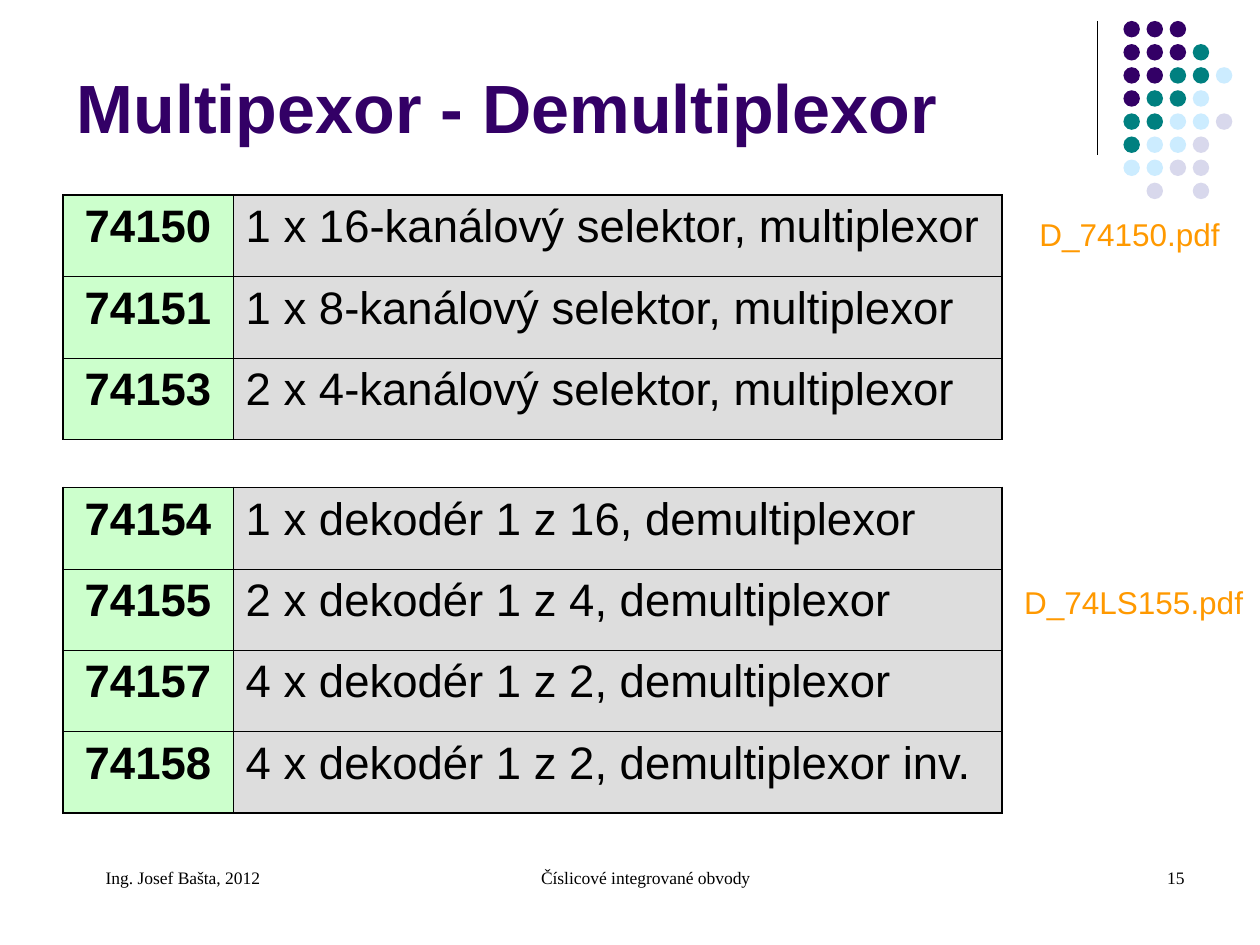
from dataclasses import dataclass

from lxml import etree
from pptx import Presentation
from pptx.dml.color import RGBColor
from pptx.enum import shapes, text
from pptx.oxml.ns import qn
from pptx.util import Pt

BLACK, PURPLE, ORANGE = "000000", "330066", "FF9900"
CODE_FILL, NOTE_FILL = "CCFFCC", "DDDDDD"
OUTER, INNER = 1.08, 0.45
ROW_HEIGHT = 46.5
COLUMN_WIDTHS = (97.2, 439.2)
DOT_COLOURS = {"P": PURPLE, "T": "008080", "L": "CCECFF", "G": "D8D8EC"}
DOT_ROWS = ("PPP", "PPPT", "PPTTL", "PTTL", "TTLLG", "TLLG", "LLGG", " G G")
DOT_LEFT, DOT_TOP, DOT_PITCH, DOT_SIZE = 642, 12, 13.2, 9.4


@dataclass
class Style:
    size: float
    font: str = "Arial"
    colour: str = BLACK
    bold: bool = False
    align: text.PP_ALIGN = text.PP_ALIGN.LEFT
    indent: float = 0


@dataclass
class Label:
    wording: str
    left: float
    top: float
    width: float
    height: float
    style: Style


@dataclass
class ChipTable:
    top: float
    chips: list[tuple[str, str]]


def footer_style(align: text.PP_ALIGN) -> Style:
    return Style(10, "Times New Roman", align=align, indent=17.3)


LINK = Style(18, colour=ORANGE)
CODE = Style(26, bold=True, align=text.PP_ALIGN.CENTER)
NOTE = Style(26)

LABELS = [
    Label("D_74150.pdf", 586.8, 119.5, 133.2, 29, LINK),
    Label("D_74LS155.pdf", 578.2, 329.8, 141.8, 29, LINK),
    Label("Číslicové integrované obvody", 246.2, 491.8, 228.2, 36,
          footer_style(text.PP_ALIGN.CENTER)),
    Label("15", 516.2, 491.8, 167.8, 36, footer_style(text.PP_ALIGN.RIGHT)),
    Label("Ing. Josef Bašta, 2012", 36, 491.8, 167.8, 36,
          footer_style(text.PP_ALIGN.LEFT)),
]
TABLES = [
    ChipTable(111.6, [
        ("74150", "1 x 16-kanálový selektor, multiplexor"),
        ("74151", "1 x 8-kanálový selektor, multiplexor"),
        ("74153", "2 x 4-kanálový selektor, multiplexor"),
    ]),
    ChipTable(278.6, [
        ("74154", "1 x dekodér 1 z 16, demultiplexor"),
        ("74155", "2 x dekodér 1 z 4, demultiplexor"),
        ("74157", "4 x dekodér 1 z 2, demultiplexor"),
        ("74158", "4 x dekodér 1 z 2, demultiplexor inv."),
    ]),
]


def rgb(colour: str) -> RGBColor:
    return RGBColor.from_string(colour)


def write(frame, wording: str, style: Style) -> None:
    frame.text = wording
    paragraph = frame.paragraphs[0]
    paragraph.alignment = style.align
    if style.indent:
        properties = paragraph._p.get_or_add_pPr()
        properties.set("marL", str(Pt(style.indent)))
        properties.set("indent", "0")
    font = paragraph.runs[0].font
    font.name, font.size, font.bold = style.font, Pt(style.size), style.bold
    font.color.rgb = rgb(style.colour)


def add_label(slide, label: Label) -> None:
    box = slide.shapes.add_textbox(Pt(label.left), Pt(label.top),
                                   Pt(label.width), Pt(label.height))
    box.text_frame.word_wrap = True
    write(box.text_frame, label.wording, label.style)


def add_dots(slide) -> None:
    for row, letters in enumerate(DOT_ROWS):
        for column, letter in enumerate(letters):
            if letter == " ":
                continue
            dot = slide.shapes.add_shape(
                shapes.MSO_SHAPE.OVAL,
                Pt(DOT_LEFT + column * DOT_PITCH), Pt(DOT_TOP + row * DOT_PITCH),
                Pt(DOT_SIZE), Pt(DOT_SIZE))
            dot.shadow.inherit = False
            dot.fill.solid()
            dot.fill.fore_color.rgb = rgb(DOT_COLOURS[letter])
            dot.line.fill.background()


def add_divider(slide) -> None:
    divider = slide.shapes.add_connector(
        shapes.MSO_CONNECTOR.STRAIGHT, Pt(627), Pt(12), Pt(627), Pt(88.5))
    divider.line.color.rgb = rgb(BLACK)
    divider.line.width = Pt(0.75)
    etree.SubElement(divider._element.spPr, qn("a:effectLst"))


def set_borders(cell, widths: dict[str, float]) -> None:
    """Put the border lines ahead of the cell's fill, as the schema asks."""
    properties = cell._tc.get_or_add_tcPr()
    for position, (side, width) in enumerate(widths.items()):
        border = etree.Element(qn(f"a:ln{side}"), w=str(Pt(width)))
        fill = etree.SubElement(border, qn("a:solidFill"))
        etree.SubElement(fill, qn("a:srgbClr"), val=BLACK)
        properties.insert(position, border)


def add_chip_table(slide, chip_table: ChipTable) -> None:
    count = len(chip_table.chips)
    table = slide.shapes.add_table(
        count, 2, Pt(36), Pt(chip_table.top),
        Pt(sum(COLUMN_WIDTHS)), Pt(count * ROW_HEIGHT)).table
    table.first_row = table.horz_banding = False
    for column, width in zip(table.columns, COLUMN_WIDTHS):
        column.width = Pt(width)
    for row, chip in enumerate(chip_table.chips):
        table.rows[row].height = Pt(ROW_HEIGHT)
        for column, wording in enumerate(chip):
            cell = table.cell(row, column)
            write(cell.text_frame, wording, NOTE if column else CODE)
            cell.fill.solid()
            cell.fill.fore_color.rgb = rgb(NOTE_FILL if column else CODE_FILL)
            set_borders(cell, {
                "L": INNER if column else OUTER,
                "R": OUTER if column else INNER,
                "T": INNER if row else OUTER,
                "B": OUTER if row == count - 1 else INNER,
            })


def add_title(slide) -> None:
    title = slide.shapes.title
    title.left, title.top = Pt(36.7), Pt(26)
    title.width, title.height = Pt(594), Pt(62)
    frame = title.text_frame
    frame.auto_size = text.MSO_AUTO_SIZE.NONE
    frame.vertical_anchor = text.MSO_ANCHOR.BOTTOM
    write(frame, "Multipexor - Demultiplexor", Style(39, colour=PURPLE, bold=True))


def main() -> None:
    deck = Presentation()
    deck.slide_width, deck.slide_height = Pt(720), Pt(540)
    slide = deck.slides.add_slide(deck.slide_layouts[5])
    add_divider(slide)
    add_dots(slide)
    add_title(slide)
    for chip_table in TABLES:
        add_chip_table(slide, chip_table)
    for label in LABELS:
        add_label(slide, label)
    deck.save("out.pptx")


if __name__ == "__main__":
    main()
